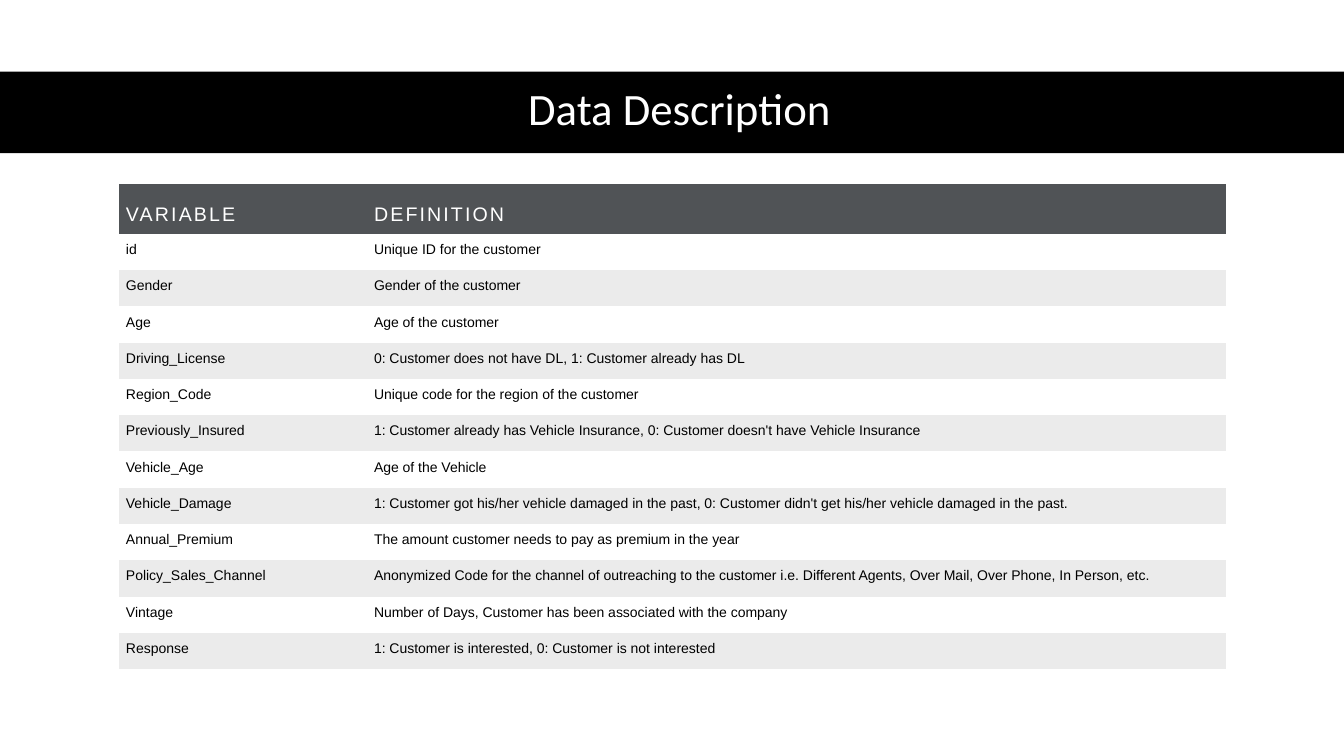
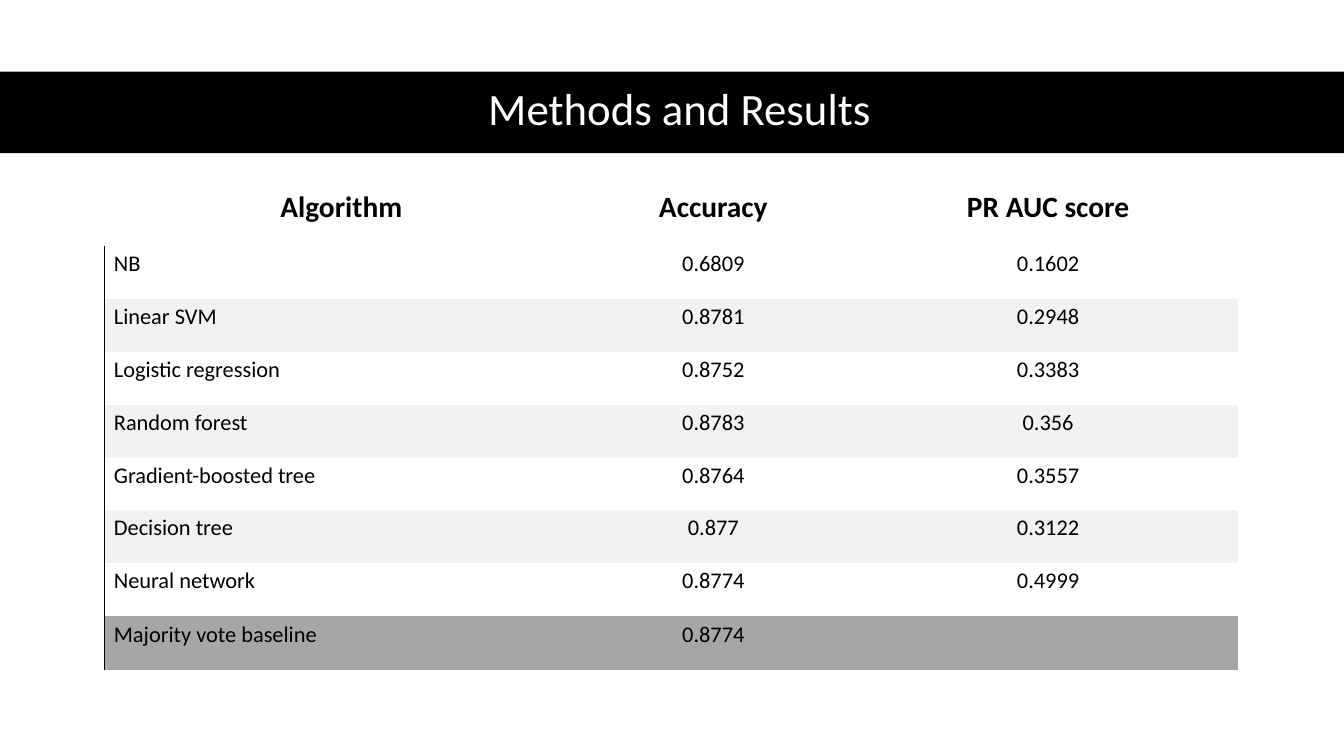
"""Build two slides, each a titled band above a table."""
import dataclasses
import typing

import pptx
import pptx.dml.color
import pptx.enum.shapes
import pptx.enum.text
import pptx.oxml
import pptx.oxml.ns
import pptx.util

Inches = pptx.util.Inches
Pt = pptx.util.Pt
Align = pptx.enum.text.PP_ALIGN
Anchor = pptx.enum.text.MSO_ANCHOR

BLACK, WHITE = "000000", "FFFFFF"
SLATE, MIST, PALE, GREY = "505356", "EBEBEB", "F2F2F2", "A6A6A6"
WIDTH, HEIGHT = 13.33, 7.5
TOP, DEPTH = 1.83, 4.81
PLAIN = "{2D5ABB26-0587-4C30-8999-92F81FD0307C}"


@dataclasses.dataclass(frozen=True)
class Style:
    """Format of the cells in one kind of row."""
    text: dict[str, typing.Any]
    anchor: Anchor
    fill: str | None = None


@dataclasses.dataclass(frozen=True)
class Grid:
    """Content and look of one table."""
    left: float
    cols: tuple[float, ...]
    top: float
    inset: tuple[float, float, float, float]
    head: Style
    body: Style
    band: str
    rows: list[tuple[str, ...]]
    aligns: tuple[Align, ...]
    last: str | None = None
    edge: bool = False


VARS = Grid(
    left=1.18, cols=(2.46, 8.52), top=0.49, inset=(0.07, 0.07, 0.07, 0.07),
    head=Style({"size": 14, "font": "Arial", "color": WHITE,
                "lead": Pt(24), "track": 1.5}, Anchor.MIDDLE, SLATE),
    body=Style({"size": 10, "font": "Arial", "lead": 1.07}, Anchor.TOP),
    band=MIST, aligns=(Align.LEFT, Align.LEFT),
    rows=[
        ("VARIABLE", "DEFINITION"),
        ("id", "Unique ID for the customer"),
        ("Gender", "Gender of the customer"),
        ("Age", "Age of the customer"),
        ("Driving_License", "0: Customer does not have DL, 1: Customer already has DL"),
        ("Region_Code", "Unique code for the region of the customer"),
        ("Previously_Insured", "1: Customer already has Vehicle Insurance, "
         "0: Customer doesn't have Vehicle Insurance"),
        ("Vehicle_Age", "Age of the Vehicle"),
        ("Vehicle_Damage", "1: Customer got his/her vehicle damaged in the past, "
         "0: Customer didn't get his/her vehicle damaged in the past."),
        ("Annual_Premium", "The amount customer needs to pay as premium in the year"),
        ("Policy_Sales_Channel", "Anonymized Code for the channel of outreaching to the "
         "customer i.e. Different Agents, Over Mail, Over Phone, In Person, etc."),
        ("Vintage", "Number of Days, Customer has been associated with the company"),
        ("Response", "1: Customer is interested, 0: Customer is not interested"),
    ])

SCORES = Grid(
    left=1.04, cols=(4.6, 2.78, 3.86), top=0.61, inset=(0.09, 0.03, 0, 0.2),
    head=Style({"size": 21, "bold": True, "align": Align.CENTER}, Anchor.BOTTOM),
    body=Style({"size": 16}, Anchor.MIDDLE),
    band=PALE, aligns=(Align.LEFT, Align.CENTER, Align.CENTER),
    last=GREY, edge=True,
    rows=[
        ("Algorithm", "Accuracy", "PR AUC score"),
        ("NB", "0.6809", "0.1602"),
        ("Linear SVM", "0.8781", "0.2948"),
        ("Logistic regression", "0.8752", "0.3383"),
        ("Random forest", "0.8783", "0.356"),
        ("Gradient-boosted tree", "0.8764", "0.3557"),
        ("Decision tree", "0.877", "0.3122"),
        ("Neural network", "0.8774", "0.4999"),
        ("Majority vote baseline", "0.8774", ""),
    ])


def paint(fill: typing.Any, color: str | None) -> None:
    """Fill with a hex colour, or clear the fill."""
    if color is None:
        fill.background()
    else:
        fill.solid()
        fill.fore_color.rgb = pptx.dml.color.RGBColor.from_string(color)


def write(frame: typing.Any, text: str, *, size: float, font: str = "Calibri",
          color: str = BLACK, bold: bool = False, align: Align = Align.LEFT,
          lead: float | None = None, track: float = 0) -> None:
    """Put one formatted paragraph in a text frame."""
    para = frame.paragraphs[0]
    para.alignment = align
    para.line_spacing = lead
    run = para.add_run()
    run.text = text
    run.font.size, run.font.name, run.font.bold = Pt(size), font, bold
    paint(run.font.fill, color)
    if track:
        run.font._element.set("spc", str(round(track * 100)))


def rule(cell: typing.Any) -> None:
    """Draw a thin black line on the left of a cell."""
    space = pptx.oxml.ns.nsdecls("a")
    line = pptx.oxml.parse_xml(
        f'<a:lnL {space} w="{Pt(0.75)}"><a:solidFill><a:srgbClr val="{BLACK}"/>'
        '</a:solidFill></a:lnL>')
    cell._tc.get_or_add_tcPr().insert(0, line)


def head(slide: typing.Any, text: str) -> None:
    """Add the black band and the title over it."""
    band = slide.shapes.add_shape(
        pptx.enum.shapes.MSO_SHAPE.RECTANGLE,
        0, Inches(0.71), Inches(WIDTH), Inches(0.81))
    band.shadow.inherit = False
    paint(band.fill, BLACK)
    band.line.fill.background()
    title = slide.shapes.title
    band._element.addnext(title._element)
    title.left, title.top = Inches(0.61), Inches(0.7)
    title.width, title.height = Inches(12.26), Inches(0.81)
    title.text_frame.vertical_anchor = Anchor.MIDDLE
    write(title.text_frame, text, size=32, color=WHITE, align=Align.CENTER, lead=0.9)


def shade(grid: Grid, row: int) -> str | None:
    """Choose the fill of a row."""
    if row == 0:
        return grid.head.fill
    if grid.last and row == len(grid.rows) - 1:
        return grid.last
    return grid.body.fill if row % 2 else grid.band


def draw(slide: typing.Any, grid: Grid) -> None:
    """Add the table of a grid."""
    count = len(grid.rows)
    table = slide.shapes.add_table(
        count, len(grid.cols), Inches(grid.left), Inches(TOP),
        Inches(sum(grid.cols)), Inches(DEPTH)).table
    table.first_row = table.horz_banding = False
    table._tbl.tblPr.find(pptx.oxml.ns.qn("a:tableStyleId")).text = PLAIN
    for col, width in zip(table.columns, grid.cols):
        col.width = Inches(width)
    step = (DEPTH - grid.top) / (count - 1)
    for r, texts in enumerate(grid.rows):
        style = grid.body if r else grid.head
        table.rows[r].height = Inches(step if r else grid.top)
        for c, text in enumerate(texts):
            cell = table.cell(r, c)
            cell.margin_left, cell.margin_top, cell.margin_right, cell.margin_bottom = map(
                Inches, grid.inset)
            cell.vertical_anchor = style.anchor
            paint(cell.fill, shade(grid, r))
            if text:
                write(cell.text_frame, text, **{"align": grid.aligns[c], **style.text})
            if grid.edge and r and c == 0:
                rule(cell)


def main() -> None:
    """Build and save the deck."""
    deck = pptx.Presentation()
    deck.slide_width, deck.slide_height = Inches(WIDTH), Inches(HEIGHT)
    for title, grid in (("Data Description", VARS), ("Methods and Results", SCORES)):
        slide = deck.slides.add_slide(deck.slide_layouts[5])
        head(slide, title)
        draw(slide, grid)
    deck.save("out.pptx")


if __name__ == "__main__":
    main()
